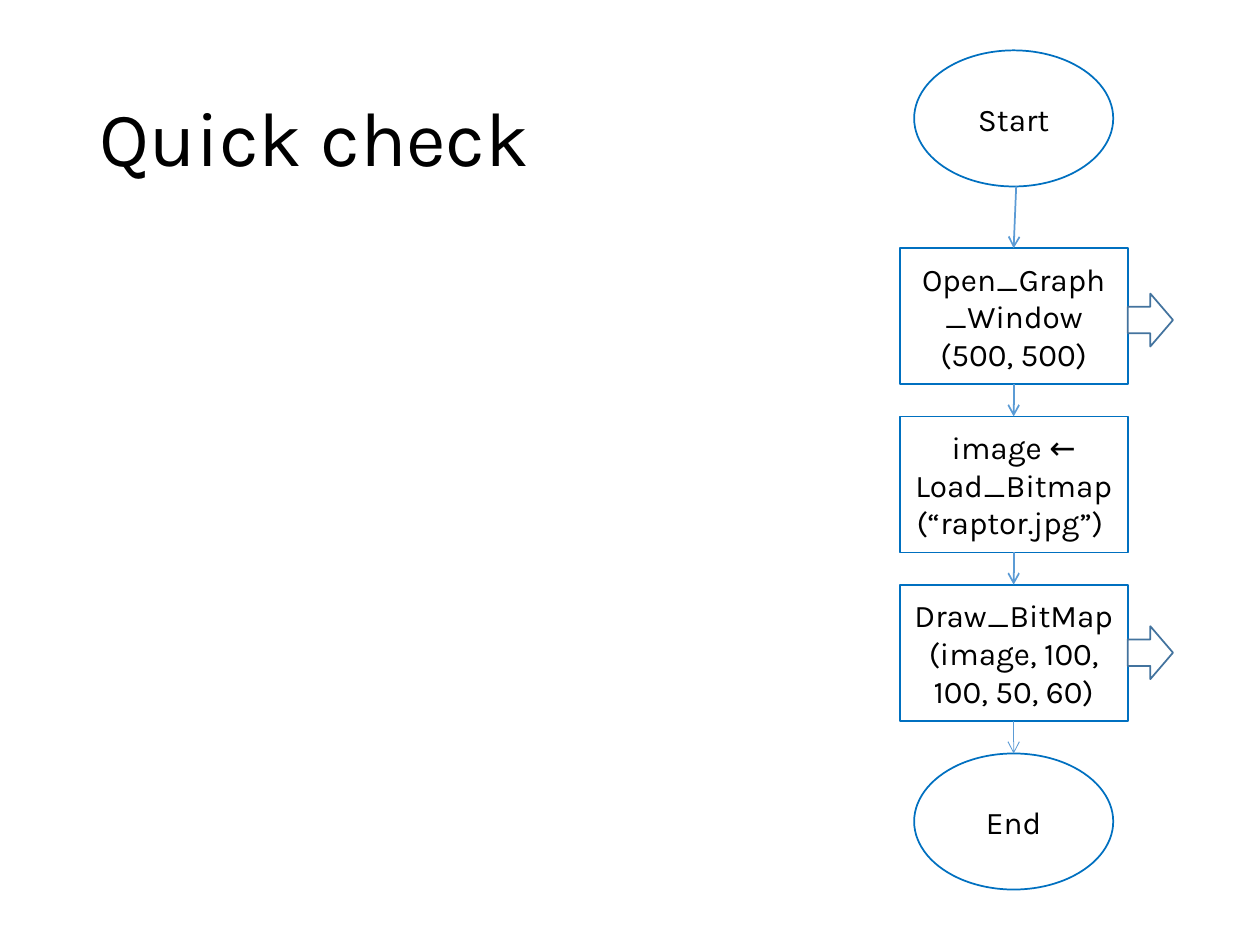
from lxml import etree
from pptx import Presentation
from pptx.dml.color import RGBColor
from pptx.enum import shapes, text
from pptx.oxml import ns
from pptx.util import Inches, Pt

COLORS = {"paper": "FFFFFF", "ink": "000000", "node": "0070C0",
          "flow": "5B9BD5", "output": "43739E"}
FONT = "Karla"
STEPS = [
    ["Open_Graph_Window", "(500, 500)"],
    ["image ← Load_Bitmap", "(“raptor.jpg”) "],
    ["Draw_BitMap", "(image, 100, 100, 50, 60)"],
]
OUTPUT_OFFSETS = {0: 0.36, 2: 0.33}


def color(name):
    """Return the named palette colour."""
    return RGBColor.from_string(COLORS[name])


def write(frame, lines, size, align):
    """Write one paragraph per line, centred vertically."""
    frame.word_wrap = True
    frame.vertical_anchor = text.MSO_ANCHOR.MIDDLE
    for index, line in enumerate(lines):
        paragraph = frame.paragraphs[0] if index == 0 else frame.add_paragraph()
        paragraph.alignment = align
        run = paragraph.add_run()
        run.text = line
        run.font.name = FONT
        run.font.size = Pt(size)
        run.font.color.rgb = color("ink")


def add_outlined(slide, kind, box, outline):
    """Add a white preset shape with a thin outline."""
    shape = slide.shapes.add_shape(kind, *map(Inches, box))
    shape.shadow.inherit = False
    shape.fill.solid()
    shape.fill.fore_color.rgb = color("paper")
    shape.line.color.rgb = color(outline)
    shape.line.width = Pt(1)
    return shape


def add_node(slide, kind, box, lines):
    """Add a flowchart node with centred text."""
    node = add_outlined(slide, kind, box, "node")
    write(node.text_frame, lines, 18, text.PP_ALIGN.CENTER)
    return node


def add_flow(slide, start, end, width=1):
    """Add an open-headed arrow between two points."""
    flow = slide.shapes.add_connector(
        shapes.MSO_CONNECTOR.STRAIGHT, *map(Inches, (*start, *end)))
    flow.line.color.rgb = color("flow")
    flow.line.width = Pt(width)
    etree.SubElement(flow.line._get_or_add_ln(), ns.qn("a:tailEnd"), type="arrow")
    etree.SubElement(flow._element.spPr, ns.qn("a:effectLst"))
    return flow


def add_title(slide, box):
    """Place the slide title in its box."""
    frame = slide.shapes.add_textbox(*map(Inches, box)).text_frame
    write(frame, ["Quick check"], 44, text.PP_ALIGN.LEFT)
    frame.paragraphs[0].line_spacing = 0.9


def add_flowchart(slide, box):
    """Place start, steps, end and their arrows in a column."""
    left, top, width, height = box
    center = left + width / 2
    node_height, oval_width = 1.08, 1.58
    first_top, pitch = top + 1.57, 1.335
    oval_left = center - oval_width / 2
    oval, rect = shapes.MSO_SHAPE.OVAL, shapes.MSO_SHAPE.RECTANGLE

    add_node(slide, oval, (oval_left, top, oval_width, node_height), ["Start"])
    steps = []
    for index, lines in enumerate(STEPS):
        step_top = first_top + index * pitch
        steps.append(add_node(
            slide, rect, (left, step_top, width, node_height), lines))
        if index in OUTPUT_OFFSETS:
            add_outlined(
                slide, shapes.MSO_SHAPE.RIGHT_ARROW,
                (left + width, step_top + OUTPUT_OFFSETS[index], 0.36, 0.42),
                "output")
    end_top = top + height - node_height
    end = add_node(
        slide, oval, (oval_left, end_top, oval_width, node_height), ["End"])

    entry = add_flow(slide, (center + 0.02, top + node_height),
                     (center, first_top))
    entry.end_connect(steps[0], 0)
    for source, target in zip(steps, steps[1:] + [end]):
        flow = add_flow(slide, (center, first_top), (center, end_top),
                        0.5 if target is end else 1)
        flow.begin_connect(source, 2)
        flow.end_connect(target, 0)


def main():
    """Build and save the slide."""
    deck = Presentation()
    deck.slide_width, deck.slide_height = Inches(10), Inches(7.5)
    slide = deck.slides.add_slide(deck.slide_layouts[6])
    add_title(slide, (0.69, 0.4, 8.62, 1.45))
    add_flowchart(slide, (7.14, 0.4, 1.81, 6.66))
    deck.save("out.pptx")


if __name__ == "__main__":
    main()
